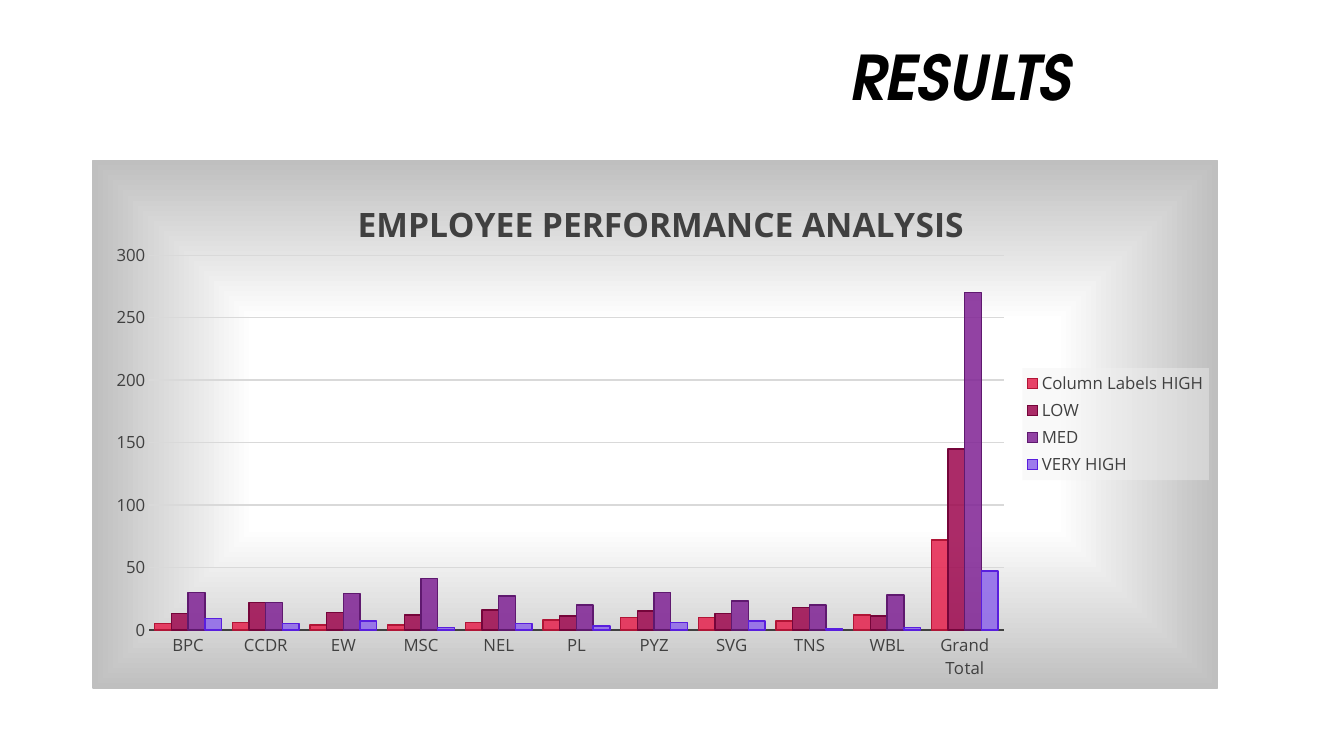
"""Build the results slide: a title above a clustered column chart of employee performance."""

from dataclasses import dataclass

import lxml.etree
import pptx
import pptx.chart.chart
import pptx.chart.data
import pptx.dml.color
import pptx.dml.line
import pptx.enum.chart
import pptx.enum.text
import pptx.oxml
import pptx.oxml.ns
import pptx.slide
import pptx.util

RGBColor = pptx.dml.color.RGBColor

BLACK = RGBColor(0x00, 0x00, 0x00)
DARK_GREY = RGBColor(0x40, 0x40, 0x40)
SILVER = RGBColor(0xBF, 0xBF, 0xBF)
GRID_GREY = RGBColor(0xD9, 0xD9, 0xD9)
PALE_GREY = RGBColor(0xF2, 0xF2, 0xF2)
WHITE = RGBColor(0xFF, 0xFF, 0xFF)
RED = RGBColor(0xE5, 0x22, 0x4E)
RED_EDGE = RGBColor(0xB1, 0x15, 0x36)
WINE = RGBColor(0x9D, 0x07, 0x4E)
WINE_EDGE = RGBColor(0x75, 0x05, 0x3A)
PURPLE = RGBColor(0x7F, 0x22, 0x94)
PURPLE_EDGE = RGBColor(0x5F, 0x19, 0x6F)
VIOLET = RGBColor(0x8D, 0x65, 0xEA)
VIOLET_EDGE = RGBColor(0x59, 0x1E, 0xDE)

TITLE_FONT = "TeX Gyre Adventor"
CHART_FONT = "Open Sans"
COLUMNS, ROWS = 160, 90
CELL = pptx.util.Inches(1 / 12)
NAMESPACES = pptx.oxml.ns.nsdecls("c", "a")


@dataclass(frozen=True)
class Area:
    """A rectangle in grid columns and rows."""

    column: int
    row: int
    width: int
    height: int

    def lengths(self) -> tuple[int, int, int, int]:
        """Return left, top, width and height as slide lengths."""
        return self.column * CELL, self.row * CELL, self.width * CELL, self.height * CELL


@dataclass(frozen=True)
class Rating:
    """One performance rating, with its colours and the count per unit."""

    name: str
    fill: RGBColor
    edge: RGBColor
    counts: tuple[int, ...]


TITLE_AREA = Area(100, 4, 59, 10)
CHART_AREA = Area(11, 19, 134, 63)
UNITS = ("BPC", "CCDR", "EW", "MSC", "NEL", "PL", "PYZ", "SVG", "TNS", "WBL", "Grand Total")
RATINGS = (
    Rating("Column Labels HIGH", RED, RED_EDGE, (5, 6, 4, 4, 6, 8, 10, 10, 7, 12, 72)),
    Rating("LOW", WINE, WINE_EDGE, (13, 22, 14, 12, 16, 11, 15, 13, 18, 11, 145)),
    Rating("MED", PURPLE, PURPLE_EDGE, (30, 22, 29, 41, 27, 20, 30, 23, 20, 28, 270)),
    Rating("VERY HIGH", VIOLET, VIOLET_EDGE, (9, 5, 7, 2, 5, 3, 6, 7, 1, 2, 47)),
)


def style_font(font: pptx.text.text.Font, name: str, size: float, color: RGBColor,
               bold: bool = False, italic: bool = False) -> None:
    """Set the face, size, colour and style of a font."""
    font.name, font.size = name, pptx.util.Pt(size)
    font.bold, font.italic = bold, italic
    font.color.rgb = color


def style_line(line: pptx.dml.line.LineFormat, color: RGBColor) -> None:
    """Make a line one point wide in the given colour."""
    line.width = pptx.util.Pt(1)
    line.color.rgb = color


def layout_xml(inner: str, **shares: float) -> lxml.etree._Element:
    """Return a manual chart layout with positions as shares of the chart."""
    modes = "".join(f'<c:{key}Mode val="edge"/>' for key in "xy")
    places = "".join(f'<c:{key} val="{share}"/>' for key, share in shares.items())
    return pptx.oxml.parse_xml(
        f"<c:layout {NAMESPACES}><c:manualLayout>{inner}{modes}{places}</c:manualLayout></c:layout>")


def drop_layout(parent: lxml.etree._Element) -> None:
    """Remove an automatic layout from a chart part."""
    for layout in parent.xpath("./c:layout"):
        parent.remove(layout)


def add_title(page: pptx.slide.Slide) -> None:
    """Place and format the slide title."""
    box = page.shapes.title
    box.left, box.top, box.width, box.height = TITLE_AREA.lengths()
    frame = box.text_frame
    frame.text = "RESULTS"
    frame.vertical_anchor = pptx.enum.text.MSO_ANCHOR.TOP
    frame.auto_size = pptx.enum.text.MSO_AUTO_SIZE.SHAPE_TO_FIT_TEXT
    para = frame.paragraphs[0]
    para.alignment = pptx.enum.text.PP_ALIGN.LEFT
    style_font(para.font, TITLE_FONT, 44, BLACK, bold=True, italic=True)


def style_heading(chart: pptx.chart.chart.Chart) -> None:
    """Write and place the chart heading."""
    heading = chart.chart_title
    heading.text_frame.text = "EMPLOYEE PERFORMANCE ANALYSIS"
    style_font(heading.text_frame.paragraphs[0].font, CHART_FONT, 24, DARK_GREY, bold=True)
    heading.include_in_layout = False
    drop_layout(heading._element)
    heading._element.xpath("./c:tx")[0].addnext(layout_xml("", x=0.23, y=0.06))


def style_axes(chart: pptx.chart.chart.Chart) -> None:
    """Format both axes and the gridlines."""
    for axis in (chart.category_axis, chart.value_axis):
        axis.major_tick_mark = axis.minor_tick_mark = pptx.enum.chart.XL_TICK_MARK.NONE
        style_font(axis.tick_labels.font, CHART_FONT, 12, DARK_GREY)
    chart.category_axis.has_major_gridlines = False
    style_line(chart.category_axis.format.line, DARK_GREY)
    values = chart.value_axis
    values.minimum_scale, values.maximum_scale, values.major_unit = 0, 300, 50
    values.format.line.fill.background()
    values.has_major_gridlines = True
    style_line(values.major_gridlines.format.line, GRID_GREY)


def style_columns(chart: pptx.chart.chart.Chart) -> None:
    """Space the columns and colour each rating."""
    plot = chart.plots[0]
    plot.gap_width, plot.overlap, plot.vary_by_categories = 65, 0, False
    for series, rating in zip(plot.series, RATINGS):
        series.format.fill.solid()
        series.format.fill.fore_color.rgb = rating.fill
        style_line(series.format.line, rating.edge)
        color = series._element.xpath("./c:spPr/a:solidFill/a:srgbClr")[0]
        color.append(pptx.oxml.parse_xml(f'<a:alpha {NAMESPACES} val="85000"/>'))


def style_legend(chart: pptx.chart.chart.Chart) -> None:
    """Show a translucent legend on the right."""
    chart.has_legend = True
    legend = chart.legend
    legend.position = pptx.enum.chart.XL_LEGEND_POSITION.RIGHT
    legend.include_in_layout = False
    style_font(legend.font, CHART_FONT, 12, DARK_GREY)
    legend._element.xpath("./c:overlay")[0].addnext(pptx.oxml.parse_xml(
        f'<c:spPr {NAMESPACES}><a:solidFill><a:srgbClr val="{PALE_GREY}">'
        '<a:alpha val="39000"/></a:srgbClr></a:solidFill><a:ln><a:noFill/></a:ln></c:spPr>'))


def style_background(chart: pptx.chart.chart.Chart) -> None:
    """Fill the chart with a gradient from a white centre to a silver border."""
    stops = "".join(f'<a:gs pos="{share * 1000}"><a:srgbClr val="{color}"/></a:gs>'
                    for share, color in ((0, WHITE), (39, WHITE), (100, SILVER)))
    chart._chartSpace.xpath("./c:chart")[0].addnext(pptx.oxml.parse_xml(
        f'<c:spPr {NAMESPACES}><a:gradFill><a:gsLst>{stops}</a:gsLst><a:path path="rect">'
        '<a:fillToRect l="50000" t="50000" r="50000" b="50000"/></a:path></a:gradFill>'
        f'<a:ln w="12700"><a:solidFill><a:srgbClr val="{SILVER}"/></a:solidFill></a:ln></c:spPr>'))


def add_performance_chart(page: pptx.slide.Slide) -> None:
    """Add the clustered column chart of ratings per unit."""
    table = pptx.chart.data.CategoryChartData()
    table.categories = UNITS
    for rating in RATINGS:
        table.add_series(rating.name, rating.counts)
    kind = pptx.enum.chart.XL_CHART_TYPE.COLUMN_CLUSTERED
    chart = page.shapes.add_chart(kind, *CHART_AREA.lengths(), table).chart
    style_font(chart.font, CHART_FONT, 10, BLACK)
    style_heading(chart)
    style_axes(chart)
    style_columns(chart)
    style_legend(chart)
    style_background(chart)
    plot_area = chart._chartSpace.xpath("./c:chart/c:plotArea")[0]
    drop_layout(plot_area)
    plot_area.insert(0, layout_xml('<c:layoutTarget val="inner"/>', x=0.05, y=0.18, w=0.76, h=0.71))


def main() -> None:
    """Build and save the deck."""
    deck = pptx.Presentation()
    deck.slide_width, deck.slide_height = COLUMNS * CELL, ROWS * CELL
    page = deck.slides.add_slide(deck.slide_layouts.get_by_name("Title Only"))
    add_performance_chart(page)
    add_title(page)
    deck.save("out.pptx")


if __name__ == "__main__":
    main()
